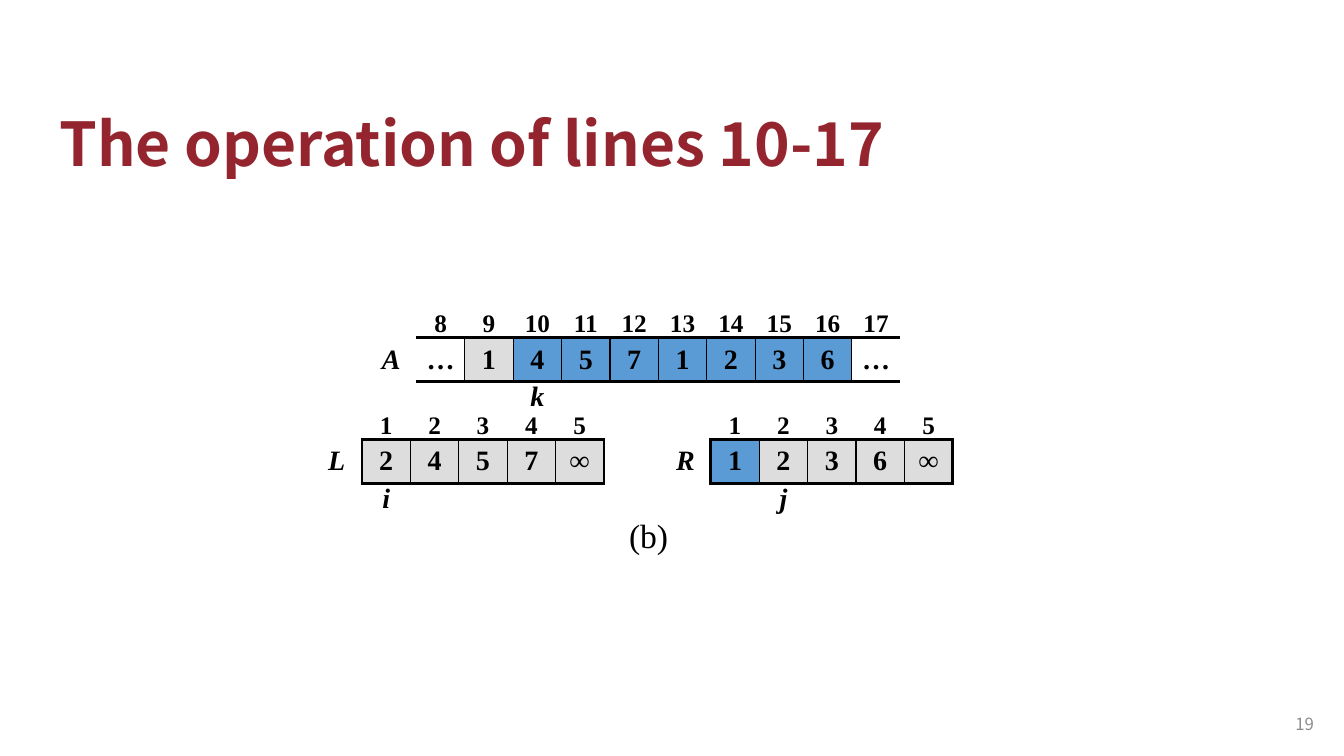
from lxml import etree
from pptx import Presentation
from pptx.dml.color import RGBColor
from pptx.enum.text import MSO_ANCHOR, PP_ALIGN
from pptx.oxml.ns import qn
from pptx.util import Inches, Pt

TOP, MIDDLE, BOTTOM = MSO_ANCHOR.TOP, MSO_ANCHOR.MIDDLE, MSO_ANCHOR.BOTTOM
LEFT, CENTER, RIGHT = PP_ALIGN.LEFT, PP_ALIGN.CENTER, PP_ALIGN.RIGHT

COLORS = {"title": "94252E", "number": "8C8C8C", "ink": "000000",
          "gray": "DDDDDD", "blue": "5B9BD5"}
SANS, SERIF = "Noto Sans CJK SC", "Times New Roman"
THICK, THIN = 2.25, 1
LABEL_W, CELL_W = 0.5, 0.48
ROW_HEIGHTS = (0.39, 0.43, 0.39)


class SlideBuilder:
    def __init__(self, slide):
        self.s = slide

    def run(self, p, text, size, font=SERIF, color="ink", bold=False, italic=False):
        r = p.add_run()
        r.text = text
        r.font.size, r.font.name = Pt(size), font
        r.font.bold, r.font.italic = bold, italic
        r.font.color.rgb = RGBColor.from_string(COLORS[color])

    def text(self, box, text, size, anchor=TOP, align=LEFT, wrap=True,
             spacing=None, **style):
        sp = self.s.shapes.add_textbox(*map(Inches, box))
        tf = sp.text_frame
        tf.word_wrap, tf.vertical_anchor = wrap, anchor
        p = tf.paragraphs[0]
        p.alignment, p.line_spacing = align, spacing
        self.run(p, text, size, **style)

    def borders(self, cell, **widths):
        """Draw the sides L, R, T, B that have a width and clear the others."""
        tc_pr = cell._tc.get_or_add_tcPr()
        for side in "LRTB":
            width = widths.get(side, 0)
            ln = etree.SubElement(tc_pr, qn(f"a:ln{side}"), w=str(Pt(width)))
            if width:
                fill = etree.SubElement(ln, qn("a:solidFill"))
                etree.SubElement(fill, qn("a:srgbClr"), val=COLORS["ink"])
            else:
                etree.SubElement(ln, qn("a:noFill"))

    def cell(self, cell, text, size, anchor, top=0.05, bottom=0.05,
             fill=None, italic=False, **widths):
        self.borders(cell, **widths)
        if fill:
            cell.fill.solid()
            cell.fill.fore_color.rgb = RGBColor.from_string(COLORS[fill])
        else:
            cell.fill.background()
        cell.margin_top, cell.margin_bottom = Inches(top), Inches(bottom)
        cell.vertical_anchor = anchor
        p = cell.text_frame.paragraphs[0]
        p.alignment = CENTER
        if text:
            self.run(p, text, size, bold=True, italic=italic)
        else:
            p.font.size = Pt(size)

    def array(self, left, top, name, first, values, fills, pointer, closed=True):
        """Index row, value row and pointer row; pointer is (letter, index)."""
        n = len(values)
        side = THICK if closed else 0
        frame = self.s.shapes.add_table(
            3, n + 1, Inches(left), Inches(top),
            Inches(LABEL_W + n * CELL_W), Inches(sum(ROW_HEIGHTS)))
        table = frame.table
        table.first_row = table.horz_banding = False
        for row, height in zip(table.rows, ROW_HEIGHTS):
            row.height = Inches(height)
        for i, column in enumerate(table.columns):
            column.width = Inches(CELL_W if i else LABEL_W)

        # Name of the array
        self.cell(table.cell(0, 0), "", 18, BOTTOM, bottom=0)
        self.cell(table.cell(1, 0), name, 20, MIDDLE, italic=True, R=side)
        self.cell(table.cell(2, 0), "", 18, TOP, top=0)

        # One column per element
        letter, target = pointer
        for i, (value, fill) in enumerate(zip(values, fills), 1):
            index = first + i - 1
            self.cell(table.cell(0, i), str(index), 18, BOTTOM, bottom=0, B=THICK)
            self.cell(table.cell(1, i), value, 20, MIDDLE, fill=fill,
                      L=side if i == 1 else THIN, R=side if i == n else THIN,
                      T=THICK, B=THICK)
            self.cell(table.cell(2, i), letter if index == target else "", 20, TOP,
                      top=0, italic=True, T=THICK)


def main():
    prs = Presentation()
    prs.slide_width, prs.slide_height = Inches(13.33), Inches(7.5)
    b = SlideBuilder(prs.slides.add_slide(prs.slide_layouts[6]))

    # Slide number and title
    b.text((12.53, 6.98, 0.6, 0.4), "19", 12, MIDDLE, RIGHT, font=SANS, color="number")
    b.text((0.49, 0.88, 8.43, 0.95), "The operation of lines 10-17", 43.2, BOTTOM,
           spacing=0.9, font=SANS, color="title", bold=True)

    # Merged array above its two halves
    b.array(3.63, 2.96, "A", 8, "…14571236…",
            [None, "gray"] + ["blue"] * 7 + [None], ("k", 10), closed=False)
    b.array(3.09, 3.97, "L", 1, "2457∞", ["gray"] * 5, ("i", 1))
    b.array(6.55, 3.97, "R", 1, "1236∞", ["blue"] + ["gray"] * 4, ("j", 2))

    # Step caption
    b.text((6.14, 5.06, 0.59, 0.5), "(b)", 24, wrap=False)

    prs.save("out.pptx")


if __name__ == "__main__":
    main()
